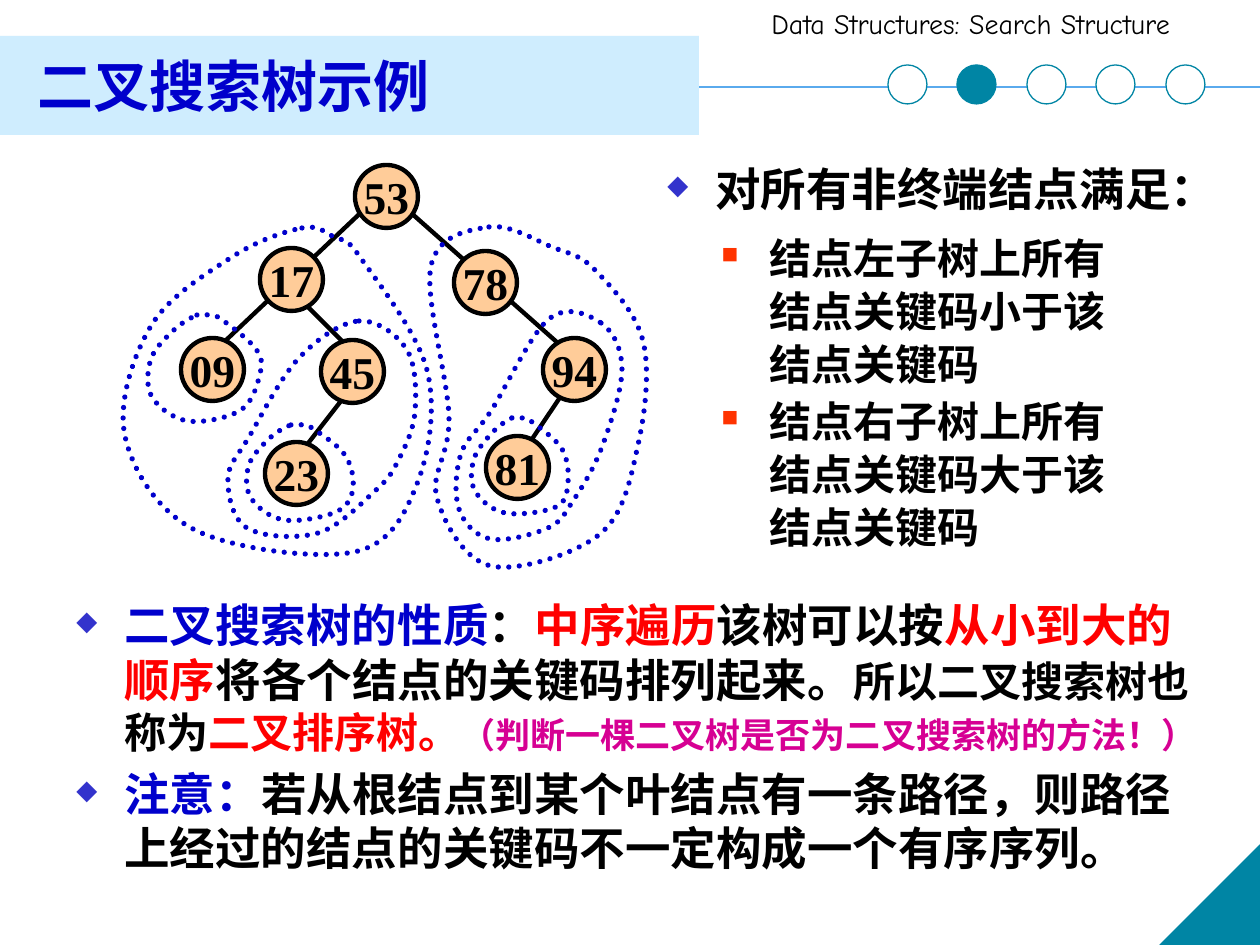
from dataclasses import dataclass

from lxml import etree
from pptx import Presentation
from pptx.dml.color import RGBColor
from pptx.enum.dml import MSO_LINE
from pptx.enum.shapes import MSO_CONNECTOR, MSO_SHAPE
from pptx.enum.text import MSO_ANCHOR, PP_ALIGN
from pptx.oxml.ns import qn
from pptx.util import Emu, Pt

OVAL, RECTANGLE, TRIANGLE = MSO_SHAPE.OVAL, MSO_SHAPE.RECTANGLE, MSO_SHAPE.RIGHT_TRIANGLE
STRAIGHT, ROUND_DOT = MSO_CONNECTOR.STRAIGHT, MSO_LINE.ROUND_DOT
CENTER, MIDDLE, BOTTOM, TOP = PP_ALIGN.CENTER, MSO_ANCHOR.MIDDLE, MSO_ANCHOR.BOTTOM, MSO_ANCHOR.TOP
SCALE = 914400 / 126


@dataclass(frozen=True)
class Theme:
    serif: str = "Times New Roman"
    sans: str = "Cabin"
    header: str = "Comic Neue"
    black: str = "000000"
    white: str = "FFFFFF"
    blue: str = "0000CC"
    red: str = "FF0000"
    magenta: str = "D60093"
    teal: str = "0085A4"
    band: str = "CFEDFE"
    rule: str = "5AAAED"
    node: str = "FFCC99"
    title_size: int = 32
    large: int = 26
    medium: int = 24
    small: int = 20
    header_size: int = 16


THEME = Theme()


@dataclass(frozen=True)
class Span:
    text: str
    color: str = THEME.black
    size: int = THEME.large


@dataclass(frozen=True)
class Bullet:
    char: str
    color: str
    percent: int
    before: float
    spacing: float = 1.0


@dataclass(frozen=True)
class Node:
    key: str
    left: int
    top: int


DIAMOND = Bullet("◆", "3333CC", 60, 5.2)
SQUARE = Bullet("■", "FF3300", 55, 2.4, 1.05)

NODES = [
    Node("94", 543, 338), Node("81", 486, 436), Node("53", 355, 165), Node("17", 260, 248),
    Node("78", 454, 251), Node("09", 181, 338), Node("23", 265, 442), Node("45", 321, 340),
]
EDGES = [
    (563, 393, 514, 466), (355, 383, 285, 473), (295, 294, 374, 373),
    (370, 204, 222, 344), (401, 204, 559, 344),
]
SUBTREE_LOOPS = [
    [(302, 228), (334, 237), (360, 257), (427, 370), (417, 484),
     (354, 552), (195, 530), (125, 436), (151, 326), (232, 257)],
    [(489, 227), (552, 247), (595, 270), (643, 341), (638, 445),
     (600, 534), (491, 566), (437, 498), (449, 417), (431, 266)],
    [(197, 315), (208, 315), (221, 319), (256, 349), (260, 374),
     (241, 410), (188, 421), (152, 397), (151, 359), (174, 330)],
    [(359, 321), (407, 350), (415, 412), (398, 461), (375, 491),
     (318, 533), (247, 528), (228, 479), (249, 437), (299, 358)],
    [(601, 323), (622, 369), (602, 447), (573, 501), (548, 528),
     (490, 539), (459, 509), (461, 454), (491, 411), (549, 319)],
    [(291, 425), (302, 425), (312, 428), (345, 455), (353, 489),
     (336, 512), (284, 520), (251, 498), (249, 465), (270, 438)],
    [(512, 418), (522, 418), (532, 422), (562, 449), (568, 483),
     (556, 507), (505, 513), (475, 491), (474, 459), (493, 432)],
]
CONDITIONS = [
    [Span("结点左子树上所有结点关键码小于该结点关键码", size=THEME.medium)],
    [Span("结点右子树上所有结点关键码大于该结点关键码", size=THEME.medium)],
]
PROPERTIES = [
    [
        Span("二叉搜索树的性质", THEME.blue), Span("："), Span("中序遍历", THEME.red),
        Span("该树可以按"), Span("从小到大的顺序", THEME.red),
        Span("将各个结点的关键码排列起来。"),
        Span("所以二叉搜索树也称为", size=THEME.medium),
        Span("二叉排序树。", THEME.red, THEME.medium),
        Span("（判断一棵二叉树是否为二叉搜索树的方法！）", THEME.magenta, THEME.small),
    ],
    [
        Span("注意：", THEME.blue),
        Span("若从根结点到某个叶结点有一条路径，则路径上经过的结点的关键码不一定构成一个有序序列。"),
    ],
]


def px(value: float) -> Emu:
    return Emu(round(value * SCALE))


def style_font(font, name: str, size: int, color: str, bold: bool = True) -> None:
    font.name, font.size, font.bold = name, Pt(size), bold
    font.color.rgb = RGBColor.from_string(color)


def style_line(line, color: str, width: float) -> None:
    line.color.rgb = RGBColor.from_string(color)
    line.width = Pt(width)


def add_block(shapes, kind, left: int, top: int, width: int, height: int, fill: str,
              outline: str | None = None, line_width: float = 0.75):
    block = shapes.add_shape(kind, px(left), px(top), px(width), px(height))
    block.shadow.inherit = False
    block.fill.solid()
    block.fill.fore_color.rgb = RGBColor.from_string(fill)
    if outline:
        style_line(block.line, outline, line_width)
    else:
        block.line.fill.background()
    return block


def add_line(shapes, ends: tuple[int, int, int, int], color: str, width: float) -> None:
    line = shapes.add_connector(STRAIGHT, *map(px, ends))
    style_line(line.line, color, width)
    etree.SubElement(line._element.spPr, qn("a:effectLst"))


def add_node(shapes, node: Node) -> None:
    circle = add_block(shapes, OVAL, node.left, node.top, 63, 63, THEME.node, THEME.black, 2.5)
    frame = circle.text_frame
    frame.word_wrap, frame.vertical_anchor = False, MIDDLE
    para = frame.paragraphs[0]
    para.text, para.alignment = node.key, CENTER
    style_font(para.font, THEME.serif, THEME.large, THEME.black)


def add_loop(shapes, knots: list[tuple[int, int]]) -> None:
    """Draw a closed dotted Catmull-Rom curve through the knots."""
    points = []
    count = len(knots)
    for i in range(count):
        before, start, end, after = (knots[(i + step) % count] for step in (-1, 0, 1, 2))
        points.append([px(s + (e - b) / 6) for b, s, e in zip(before, start, end)])
        points.append([px(e - (a - s) / 6) for s, e, a in zip(start, end, after)])
        points.append([px(e) for e in end])
    builder = shapes.build_freeform(*map(px, knots[0]))
    builder.add_line_segments(points, close=True)
    loop = builder.convert_to_shape()
    segments = list(loop._element.iter(qn("a:lnTo")))
    for i in range(0, len(segments), 3):
        curve = etree.Element(qn("a:cubicBezTo"))
        segments[i].addprevious(curve)
        for segment in segments[i:i + 3]:
            curve.append(segment[0])
            segment.getparent().remove(segment)
    loop.shadow.inherit = False
    loop.fill.background()
    style_line(loop.line, THEME.blue, 3)
    loop.line.dash_style = ROUND_DOT
    loop._element.spPr.find(qn("a:ln")).set("cap", "rnd")


def add_bullet(para, bullet: Bullet) -> None:
    properties = para._p.get_or_add_pPr()
    properties.set("marL", str(px(48)))
    properties.set("indent", str(-px(48)))
    color = etree.SubElement(properties, qn("a:buClr"))
    etree.SubElement(color, qn("a:srgbClr"), val=bullet.color)
    etree.SubElement(properties, qn("a:buSzPct"), val=str(bullet.percent * 1000))
    etree.SubElement(properties, qn("a:buChar"), char=bullet.char)


def add_text(page, left: int, top: int, width: int, height: int):
    frame = page.shapes.add_textbox(px(left), px(top), px(width), px(height)).text_frame
    frame.word_wrap, frame.vertical_anchor = True, TOP
    return frame


def add_list(page, area: tuple[int, int, int, int], items: list[list[Span]],
             bullet: Bullet, font_name: str) -> None:
    frame = add_text(page, *area)
    for i, spans in enumerate(items):
        para = frame.add_paragraph() if i else frame.paragraphs[0]
        add_bullet(para, bullet)
        para.line_spacing = bullet.spacing
        para.space_before = Pt(bullet.before if i else 0)
        style_font(para.font, font_name, spans[0].size, THEME.black)
        for span in spans:
            run = para.add_run()
            run.text = span.text
            style_font(run.font, font_name, span.size, span.color)


def add_heading(page) -> None:
    add_line(page.shapes, (0, 87, 1260, 87), THEME.rule, 1)
    corner = add_block(page.shapes, TRIANGLE, 1160, 845, 100, 100, THEME.teal, THEME.teal)
    corner.rotation = 270
    para = add_text(page, 759, 0, 501, 47).paragraphs[0]
    para.text = "Data Structures: Search Structure"
    style_font(para.font, THEME.header, THEME.header_size, THEME.black, False)
    add_block(page.shapes, RECTANGLE, 0, 36, 699, 99, THEME.band)
    title = page.shapes.title
    title.left, title.top, title.width, title.height = map(px, (25, 42, 615, 83))
    page.shapes._spTree.append(title._element)
    title.text_frame.vertical_anchor = BOTTOM
    para = title.text_frame.paragraphs[0]
    para.text, para.alignment, para.line_spacing = "二叉搜索树示例", PP_ALIGN.LEFT, 1.05
    style_font(para.font, THEME.serif, THEME.title_size, THEME.blue)
    for i in range(5):
        fill = THEME.teal if i == 1 else THEME.white
        add_block(page.shapes, OVAL, 888 + i * 278 // 4, 65, 39, 39, fill, THEME.teal)


def add_tree(page) -> None:
    tree = page.shapes.add_group_shape().shapes
    for edge in EDGES:
        add_line(tree, edge, THEME.black, 2.5)
    for node in NODES:
        add_node(tree, node)
    for knots in SUBTREE_LOOPS:
        add_loop(page.shapes, knots)


def main() -> None:
    deck = Presentation()
    deck.slide_width, deck.slide_height = px(1260), px(945)
    page = deck.slides.add_slide(deck.slide_layouts[5])
    add_heading(page)
    add_list(page, (64, 591, 1150, 328), PROPERTIES, DIAMOND, THEME.serif)
    add_list(page, (709, 224, 436, 348), CONDITIONS, SQUARE, THEME.sans)
    add_list(page, (655, 155, 591, 100), [[Span("对所有非终端结点满足：")]], DIAMOND, THEME.serif)
    add_tree(page)
    deck.save("out.pptx")


if __name__ == "__main__":
    main()
